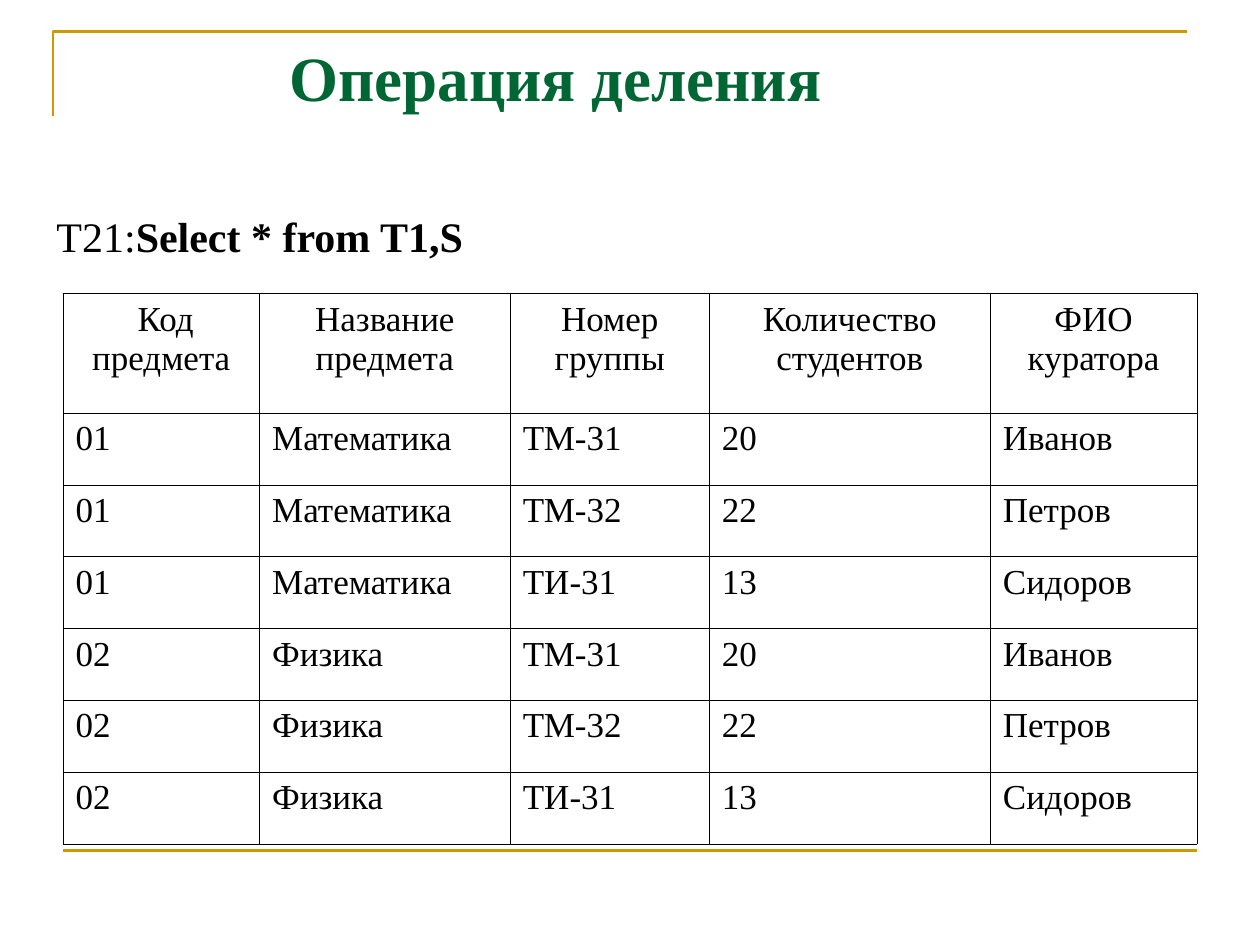
from itertools import product

from lxml.etree import SubElement
from pptx import Presentation
from pptx.dml.color import RGBColor
from pptx.enum.shapes import MSO_CONNECTOR
from pptx.enum.text import MSO_ANCHOR, PP_ALIGN
from pptx.oxml import parse_xml
from pptx.oxml.ns import nsdecls, qn
from pptx.util import Inches, Pt

FONT = "Times New Roman"
COLORS = {"gold": "CC9900", "green": "006633", "black": "000000"}

TITLE = [("Операция деления", True)]
QUERY = [("T21:", False), ("Select * from T1,S", True)]
HEADINGS = (" Код предмета", "Название предмета", "Номер группы",
            "Количество студентов", "ФИО куратора")
SUBJECTS = [("01", "Математика"), ("02", "Физика")]
GROUPS = [("ТМ-31", "20", "Иванов"), ("ТМ-32", "22", "Петров"),
          ("ТИ-31", "13", "Сидоров")]

WIDTH, HEIGHT = 10, 7.5
MARGIN = 0.05 * WIDTH
CONTENT_WIDTH = WIDTH - 2 * MARGIN
COLUMNS = (1.56, 1.99, 1.58, 2.23, 1.64)
HEADING_ROW, DATA_ROW = 0.95, 0.57
TABLE_TOP = 2.33
CORNER_LEFT, CORNER_TOP, CORNER_DROP = 0.42, 0.25, 0.67
FOOT_LINE = 0.9 * HEIGHT


def style(run, size, color, bold=False):
    run.font.name = FONT
    run.font.size = Pt(size)
    run.font.bold = bold
    run.font.color.rgb = RGBColor.from_string(COLORS[color])


def gold_line(line):
    line.color.rgb = RGBColor.from_string(COLORS["gold"])
    line.width = Pt(1.5)


def add_label(slide, pieces, box, size, color, anchor):
    frame = slide.shapes.add_textbox(*map(Inches, box)).text_frame
    frame.word_wrap = True
    frame.vertical_anchor = anchor
    for text, bold in pieces:
        run = frame.paragraphs[0].add_run()
        run.text = text
        style(run, size, color, bold)


def add_frame(slide):
    builder = slide.shapes.build_freeform(
        Inches(CORNER_LEFT), Inches(CORNER_TOP + CORNER_DROP))
    builder.add_line_segments(
        [(Inches(CORNER_LEFT), Inches(CORNER_TOP)),
         (Inches(CORNER_LEFT + CONTENT_WIDTH), Inches(CORNER_TOP))], close=False)
    corner = builder.convert_to_shape()
    corner.shadow.inherit = False
    corner.fill.background()
    gold_line(corner.line)

    foot = slide.shapes.add_connector(
        MSO_CONNECTOR.STRAIGHT, Inches(MARGIN), Inches(FOOT_LINE),
        Inches(WIDTH - MARGIN), Inches(FOOT_LINE))
    gold_line(foot.line)
    SubElement(foot._element.spPr, qn("a:effectLst"))


def add_borders(cell):
    properties = cell._tc.get_or_add_tcPr()
    for position, side in enumerate(("lnL", "lnR", "lnT", "lnB")):
        properties.insert(position, parse_xml(
            f'<a:{side} {nsdecls("a")} w="{Pt(0.45)}"><a:solidFill>'
            f'<a:srgbClr val="{COLORS["black"]}"/></a:solidFill></a:{side}>'))


def add_product_table(slide):
    rows = [HEADINGS] + [subject + group for subject, group in product(SUBJECTS, GROUPS)]
    heights = [HEADING_ROW] + [DATA_ROW] * (len(rows) - 1)
    table = slide.shapes.add_table(
        len(rows), len(COLUMNS), Inches(MARGIN), Inches(TABLE_TOP),
        Inches(CONTENT_WIDTH), Inches(sum(heights))).table
    table.first_row = table.horz_banding = False
    for column, width in zip(table.columns, COLUMNS):
        column.width = Inches(width)
    for index, (row, height, texts) in enumerate(zip(table.rows, heights, rows)):
        row.height = Inches(height)
        for cell, text in zip(row.cells, texts):
            cell.text_frame.text = text
            paragraph = cell.text_frame.paragraphs[0]
            paragraph.alignment = PP_ALIGN.LEFT if index else PP_ALIGN.CENTER
            style(paragraph.runs[0], 20, "black")
            cell.fill.background()
            add_borders(cell)


def main():
    deck = Presentation()
    deck.slide_width, deck.slide_height = Inches(WIDTH), Inches(HEIGHT)
    slide = deck.slides.add_slide(deck.slide_layouts[6])
    add_frame(slide)
    add_label(slide, QUERY, (0.35, 1.62, 3.5, 0.5), 24, "black", MSO_ANCHOR.MIDDLE)
    add_label(slide, TITLE, (2.2, 0.26, 5.71, 0.7), 36, "green", MSO_ANCHOR.TOP)
    add_product_table(slide)
    deck.save("out.pptx")


if __name__ == "__main__":
    main()
